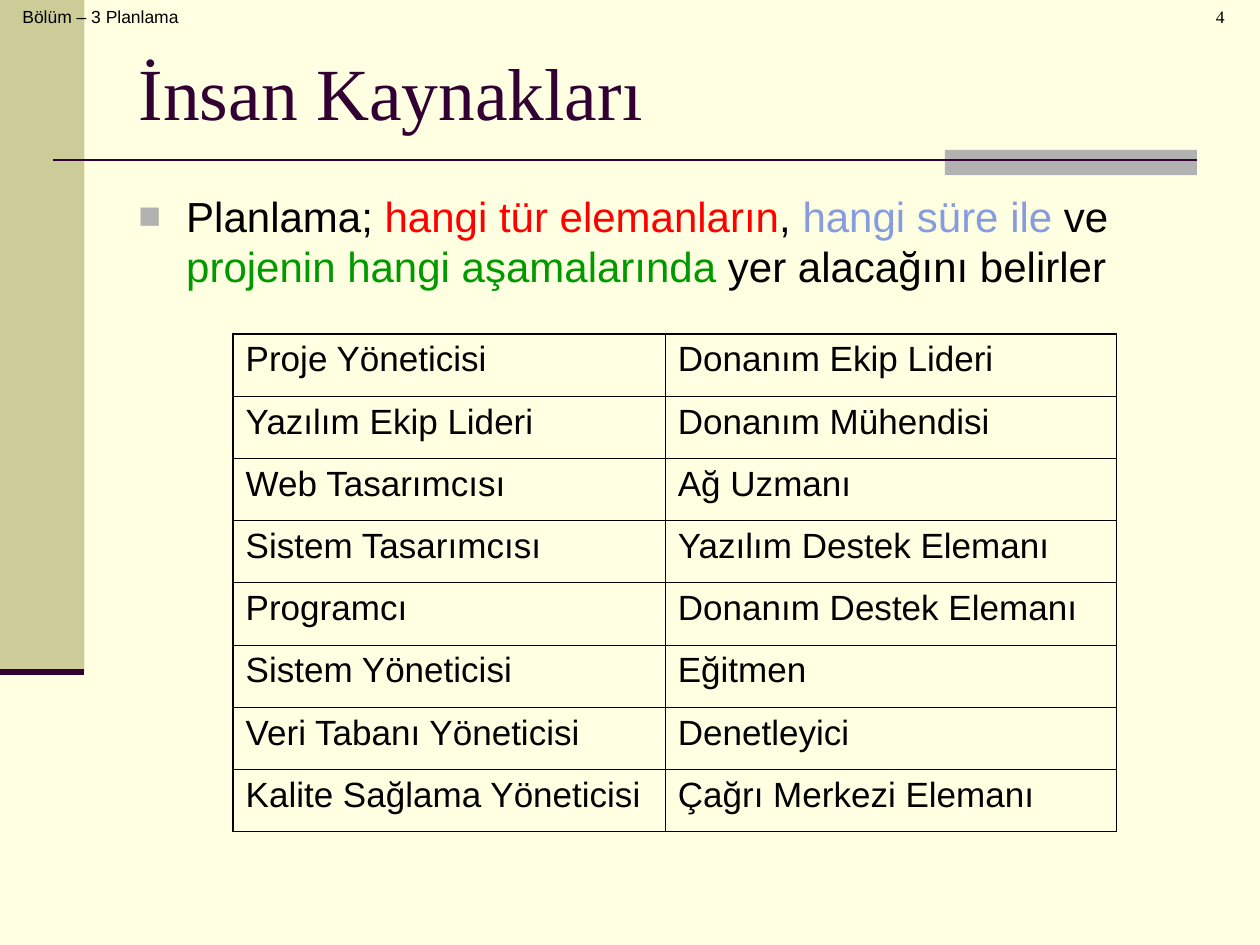
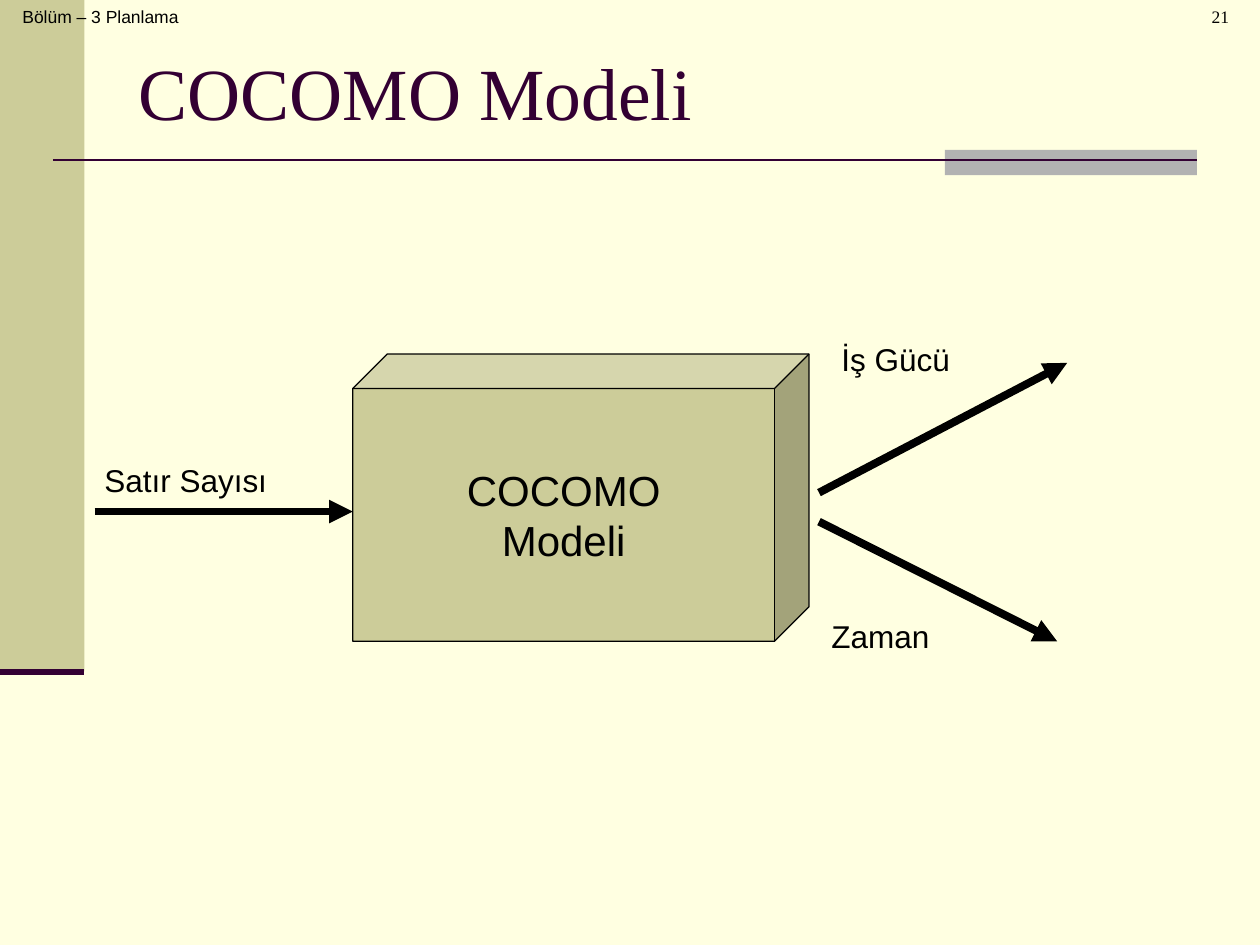
from dataclasses import dataclass

from lxml import etree
from pptx import Presentation
from pptx.dml.color import RGBColor
from pptx.enum.shapes import MSO_CONNECTOR, MSO_SHAPE
from pptx.enum.text import MSO_ANCHOR, MSO_AUTO_SIZE, PP_ALIGN
from pptx.oxml.ns import qn
from pptx.util import Emu, Inches, Pt

STRAIGHT = MSO_CONNECTOR.STRAIGHT
RECTANGLE, CUBE = MSO_SHAPE.RECTANGLE, MSO_SHAPE.CUBE
LEFT, CENTER = PP_ALIGN.LEFT, PP_ALIGN.CENTER
TOP, MIDDLE = MSO_ANCHOR.TOP, MSO_ANCHOR.MIDDLE
NO_RESIZE = MSO_AUTO_SIZE.NONE

WIDTH, HEIGHT = Inches(10), Inches(7.5)
COLUMN, ROW = WIDTH / 100, HEIGHT / 75
TITLE_ONLY = 5
SANS, SERIF = "Arial", "Times New Roman"

PAPER, KHAKI, GRAY, PLUM = "FFFFE1", "CCCC99", "B2B2B2", "330033"
BLACK, RED, BLUE, GREEN = "000000", "FF0000", "879CDF", "009900"

CHAPTER = "Bölüm – 3 Planlama"
SUMMARY = [
    ("Planlama; ", BLACK),
    ("hangi tür elemanların", RED),
    (", ", BLACK),
    ("hangi süre ile", BLUE),
    (" ve ", BLACK),
    ("projenin hangi aşamalarında", GREEN),
    (" yer alacağını belirler", BLACK),
]
STAFF = [
    ("Proje Yöneticisi", "Donanım Ekip Lideri"),
    ("Yazılım Ekip Lideri", "Donanım Mühendisi"),
    ("Web Tasarımcısı", "Ağ Uzmanı"),
    ("Sistem Tasarımcısı", "Yazılım Destek Elemanı"),
    ("Programcı", "Donanım Destek Elemanı"),
    ("Sistem Yöneticisi", "Eğitmen"),
    ("Veri Tabanı Yöneticisi", "Denetleyici"),
    ("Kalite Sağlama Yöneticisi", "Çağrı Merkezi Elemanı"),
]


@dataclass
class Box:
    left: float
    top: float
    width: float
    height: float

    def inner(self, left, top, width, height):
        return Box(self.left + left, self.top + top, width, height)

    def point(self, column, row):
        return Emu(round((self.left + column) * COLUMN)), Emu(round((self.top + row) * ROW))

    def frame(self):
        size = Box(0, 0, 0, 0).point(self.width, self.height)
        return *self.point(0, 0), *size


PAGE = Box(0, 0, 100, 75)


def color(value):
    return RGBColor.from_string(value)


def add_xml(parent, tag, **attributes):
    return etree.SubElement(parent, qn(tag), attributes)


def format_font(font, size, name=SANS, value=BLACK):
    font.size = Pt(size)
    font.name = name
    font.color.rgb = color(value)


def write(text_frame, text, size, name=SANS, value=BLACK, align=LEFT, anchor=TOP, wrap=True):
    text_frame.text = text
    text_frame.word_wrap = wrap
    text_frame.auto_size = NO_RESIZE
    text_frame.vertical_anchor = anchor
    for paragraph in text_frame.paragraphs:
        paragraph.alignment = align
        for run in paragraph.runs:
            format_font(run.font, size, name, value)


def add_text(slide, box, text, size, **style):
    text_box = slide.shapes.add_textbox(*box.frame())
    write(text_box.text_frame, text, size, **style)
    return text_box


def add_solid(slide, kind, box, fill):
    shape = slide.shapes.add_shape(kind, *box.frame())
    shape.shadow.inherit = False
    shape.fill.solid()
    shape.fill.fore_color.rgb = color(fill)
    shape.line.fill.background()
    return shape


def add_line(slide, box, start, end, value, width, arrow=False):
    connector = slide.shapes.add_connector(STRAIGHT, *box.point(*start), *box.point(*end))
    connector.line.color.rgb = color(value)
    connector.line.width = Pt(width)
    if arrow:
        add_xml(connector.line._get_or_add_ln(), "a:tailEnd", type="triangle")
    add_xml(connector._element.spPr, "a:effectLst")


def add_side_band(slide, box):
    add_solid(slide, RECTANGLE, box, KHAKI)
    add_line(slide, box, (0, box.height), (box.width, box.height), PLUM, 3.5)


def add_title_rule(slide, box):
    add_solid(slide, RECTANGLE, box.inner(box.width - 20, 0, 20, box.height), GRAY)
    add_line(slide, box, (0, 0.8), (box.width, 0.8), PLUM, 1.5)


def add_page_header(slide, box, number):
    add_text(slide, box.inner(0.8, 0, 32.7, box.height), CHAPTER, 10)
    page_number = add_text(slide, box.inner(87.8, 0, 15.7, box.height), str(number), 10,
                           name=SERIF, align=CENTER)
    properties = page_number.text_frame.paragraphs[0]._p.get_or_add_pPr()
    properties.set("marL", str(Inches(0.24)))


def add_page(presentation, title, number):
    slide = presentation.slides.add_slide(presentation.slide_layouts[TITLE_ONLY])
    add_side_band(slide, PAGE.inner(0, 0, 6.7, 53.3))
    add_title_rule(slide, PAGE.inner(4.2, 11.9, 90.8, 2))
    add_page_header(slide, PAGE.inner(0, 0, 100, 5), number)
    heading = slide.shapes.title
    heading.left, heading.top, heading.width, heading.height = PAGE.inner(10, 3, 85, 8.5).frame()
    write(heading.text_frame, title, 42, name=SERIF, value=PLUM, anchor=MIDDLE)
    return slide


def add_summary(slide, box):
    text_frame = slide.shapes.add_textbox(*box.frame()).text_frame
    text_frame.word_wrap = True
    paragraph = text_frame.paragraphs[0]
    paragraph.space_before = Pt(6)
    for text, value in SUMMARY:
        run = paragraph.add_run()
        run.text = text
        format_font(run.font, 24, value=value)
    properties = paragraph._p.get_or_add_pPr()
    indent = Inches(0.38)
    properties.set("marL", str(indent))
    properties.set("indent", str(-indent))
    add_xml(add_xml(properties, "a:buClr"), "a:srgbClr", val=GRAY)
    add_xml(properties, "a:buSzPct", val="90000")
    add_xml(properties, "a:buFont", typeface=SANS)
    add_xml(properties, "a:buChar", char="■")


def set_borders(cell, outer_sides):
    properties = cell._tc.get_or_add_tcPr()
    for position, side in enumerate("LRTB"):
        width = Pt(1.08 if side in outer_sides else 0.45)
        border = etree.Element(qn(f"a:ln{side}"), w=str(width))
        add_xml(add_xml(border, "a:solidFill"), "a:srgbClr", val=BLACK)
        properties.insert(position, border)


def add_staff_table(slide, box):
    column_widths = 34.3, box.width - 34.3
    table = slide.shapes.add_table(len(STAFF), len(column_widths), *box.frame()).table
    table.first_row = table.horz_banding = False
    for column, width in zip(table.columns, column_widths):
        column.width = Emu(round(width * COLUMN))
    for row_index, roles in enumerate(STAFF):
        for column_index, role in enumerate(roles):
            cell = table.cell(row_index, column_index)
            cell.fill.background()
            cell.text = role
            paragraph = cell.text_frame.paragraphs[0]
            paragraph.space_before = Pt(5)
            format_font(paragraph.runs[0].font, 20)
            outer_sides = "LR"[column_index]
            if row_index == 0:
                outer_sides += "T"
            if row_index == len(STAFF) - 1:
                outer_sides += "B"
            set_borders(cell, outer_sides)


def add_model_diagram(slide, box):
    cube = add_solid(slide, CUBE, box.inner(20.5, 1.6, 36.2, 22.8), KHAKI)
    cube.adjustments[0] = 0.12
    cube.line.color.rgb = color(BLACK)
    cube.line.width = Pt(0.75)
    write(cube.text_frame, "COCOMO\nModeli", 24, align=CENTER, anchor=MIDDLE, wrap=False)
    arrows = [
        ((0, 14.1), (20.5, 14.1)),
        ((57.5, 14.9), (76.4, 24.4)),
        ((57.5, 12.6), (77.2, 2.3)),
    ]
    for start, end in arrows:
        add_line(slide, box, start, end, BLACK, 4.5, arrow=True)
    labels = [
        ("Satır Sayısı", -0.2, 9.6, 14.9),
        ("İş Gücü", 58.3, 0, 10.6),
        ("Zaman", 57.5, 22, 9.8),
    ]
    for text, left, top, width in labels:
        add_text(slide, box.inner(left, top, width, 4), text, 18, wrap=False)


def main():
    presentation = Presentation()
    presentation.slide_width, presentation.slide_height = WIDTH, HEIGHT
    background = presentation.slide_master.background.fill
    background.solid()
    background.fore_color.rgb = color(PAPER)

    staff_slide = add_page(presentation, "İnsan Kaynakları", 4)
    add_summary(staff_slide, PAGE.inner(10, 14.6, 85, 10))
    add_staff_table(staff_slide, PAGE.inner(18.5, 26.5, 70.1, 39.5))

    model_slide = add_page(presentation, "COCOMO Modeli", 21)
    add_model_diagram(model_slide, PAGE.inner(7.5, 26.5, 77.2, 26))
    presentation.save("out.pptx")


if __name__ == "__main__":
    main()
